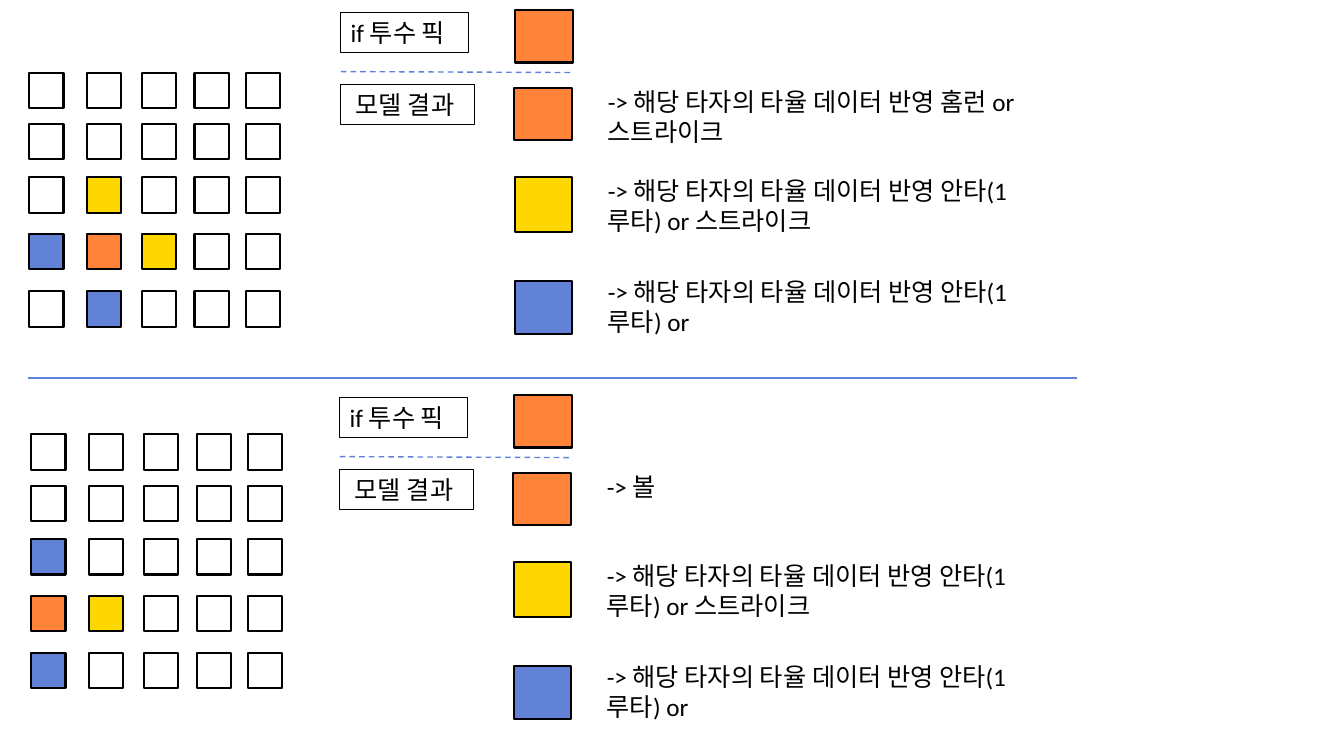
from lxml import etree
from pptx import Presentation
from pptx.dml.color import RGBColor
from pptx.enum.dml import MSO_LINE
from pptx.enum.shapes import MSO_CONNECTOR, MSO_SHAPE
from pptx.enum.text import MSO_ANCHOR, MSO_AUTO_SIZE, PP_ALIGN
from pptx.oxml.ns import qn
from pptx.util import Pt

PX = 9144  # 100 px to the inch
COLORS = {
    "black": "000000",
    "rule": "5E81D9",
    "W": "FFFFFF",
    "Y": "FFD700",
    "B": "6182D6",
    "O": "FF843A",
}
CELL_W, CELL_H = 34, 35
COLUMNS = (0, 57, 112, 164, 215)
ROWS = (0, 51, 104, 160, 217)

HIT_OR_STRIKE = "-> 해당 타자의 타율 데이터 반영 안타(1루타) or 스트라이크"
HIT_OR = "-> 해당 타자의 타율 데이터 반영 안타(1루타) or"

TOP_ZONE = ("WWWWW", "WWWWW", "WYWWW", "BOYWW", "WBWWW")
BOTTOM_ZONE = ("WWWWW", "WWWWW", "BWWWW", "OYWWW", "BWWWW")


def color(name):
    return RGBColor.from_string(COLORS[name])


def emu(*lengths):
    return [length * PX for length in lengths]


def add_box(slide, x, y, w, h, fill=None, weight=1.5):
    sp = slide.shapes.add_shape(MSO_SHAPE.RECTANGLE, *emu(x, y, w, h))
    sp.shadow.inherit = False
    if fill:
        sp.fill.solid()
        sp.fill.fore_color.rgb = color(fill)
    else:
        sp.fill.background()
    sp.line.color.rgb = color("black")
    sp.line.width = Pt(weight)
    return sp


def write(sp, text, size=18, font="Calibri", ink="black", align=PP_ALIGN.LEFT):
    tf = sp.text_frame
    tf.word_wrap = True
    tf.auto_size = MSO_AUTO_SIZE.SHAPE_TO_FIT_TEXT
    tf.vertical_anchor = MSO_ANCHOR.TOP
    p = tf.paragraphs[0]
    p.alignment = align
    r = p.add_run()
    r.text = text
    r.font.size = Pt(size)
    r.font.name = font
    r.font.color.rgb = color(ink)


def add_rule(slide, x1, y1, x2, y2, dash=None):
    line = slide.shapes.add_connector(MSO_CONNECTOR.STRAIGHT, *emu(x1, y1, x2, y2))
    line.line.color.rgb = color("rule")
    line.line.width = Pt(1)
    if dash:
        line.line.dash_style = dash
    etree.SubElement(line._element.spPr, qn("a:effectLst"))


def add_zone(slide, x, y, cells):
    """Draw the 5 by 5 pitching zone; each letter is a cell colour."""
    for dy, row in zip(ROWS, cells):
        for dx, fill in zip(COLUMNS, row):
            add_box(slide, x + dx, y + dy, CELL_W, CELL_H, fill)


def add_results(slide, x, y, first_result, first_height):
    """Draw the pick, the dashed rule and the three model results."""
    write(add_box(slide, x, y + 2, 127, 40, weight=0.75), "if 투수 픽")
    add_box(slide, x + 173, y, 57, 52, "O")
    add_rule(slide, x, y + 61, x + 230, y + 62, MSO_LINE.DASH)
    write(add_box(slide, x, y + 74, 133, 40, weight=0.75), "모델 결과 ",
          align=PP_ALIGN.CENTER)

    results = (
        # fill, square box, text top and height, text
        ("O", (172, 77, 57, 52), 71, first_height, first_result),
        ("Y", (173, 166, 56, 54), 159, 70, HIT_OR_STRIKE),
        ("B", (173, 269, 56, 52), 259, 70, HIT_OR),
    )
    for fill, (dx, dy, w, h), text_dy, text_h, text in results:
        add_box(slide, x + dx, y + dy, w, h, fill)
        note = slide.shapes.add_textbox(*emu(x + 255, y + text_dy, 436, text_h))
        write(note, text)


def main():
    prs = Presentation()
    prs.slide_width, prs.slide_height = emu(1333, 750)
    slide = prs.slides.add_slide(prs.slide_layouts[6])

    add_zone(slide, 29, 72, TOP_ZONE)
    add_results(slide, 338, 10, "-> 해당 타자의 타율 데이터 반영 홈런 or 스트라이크", 70)
    add_rule(slide, 28, 375, 1068, 375)
    add_zone(slide, 31, 431, BOTTOM_ZONE)
    add_results(slide, 337, 392, "-> 볼", 40)

    prs.save("out.pptx")


if __name__ == "__main__":
    main()
